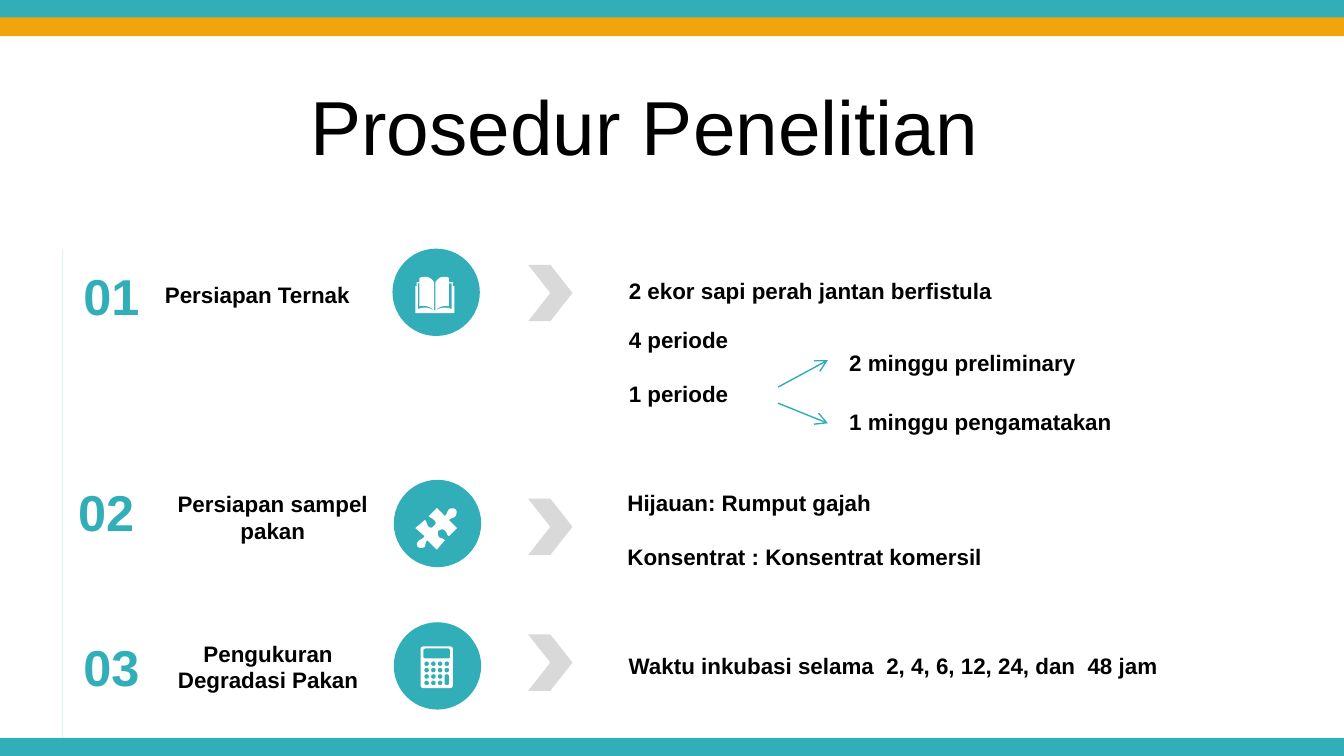
from lxml import etree
from pptx import Presentation
from pptx.dml.color import RGBColor
from pptx.enum.shapes import MSO_CONNECTOR as Connector, MSO_SHAPE as Shape
from pptx.enum.text import MSO_ANCHOR as Anchor, PP_ALIGN as Align
from pptx.oxml.ns import qn
from pptx.util import Inches, Pt

TEAL, ORANGE, GREY, WHITE, BLACK = "32AEB8", "F2A40D", "D9D9D9", "FFFFFF", "000000"
ARROW, HAIRLINE = "2EADB7", "E4F4F6"
TIGHT = (0.07, 0.04)
UNIT = 100

BOOK = """M 31 46 L 32 46 C 36 44 39 43 44 45 L 44 26 L 42 26 L 42 43 C 39 42 35 43 32 46
L 32 25 C 34 22 36 21 38 21 C 40 21 41 21 42 22 L 42 25 L 45 25 L 45 28 L 46 28 L 46 48
L 17 48 L 17 28 L 18 28 L 18 25 L 20 25 L 20 22 C 22 21 23 21 24 21 C 27 21 29 22 31 25
L 31 46 C 28 43 24 42 20 43 L 20 26 L 19 26 L 19 45 C 24 43 27 44 31 46"""
PUZZLE = """M 46 22 C 47 23 47 25 46 27 C 44 29 43 28 41 30 L 47 36 L 41 42
C 39 41 40 39 38 38 C 37 36 35 37 33 38 C 33 39 32 41 34 43 C 36 44 36 43 38 45
L 32 52 L 25 45 C 23 47 24 48 23 50 C 21 51 19 51 18 50 C 17 49 17 47 18 46
C 19 44 21 45 23 42 L 16 36 L 23 30 C 25 31 24 33 26 35 C 27 36 29 36 30 34
C 31 34 32 31 30 30 C 28 28 28 29 26 27 L 32 21 L 38 27 C 40 25 39 25 41 22
C 42 21 45 21 46 22"""


def color(value):
    """Turn a hex string into a colour."""
    return RGBColor.from_string(value)


def paint(shape, fill):
    """Give a shape a plain fill without line or shadow."""
    shape.shadow.inherit = False
    shape.fill.solid()
    shape.fill.fore_color.rgb = color(fill)
    shape.line.fill.background()


def add_block(page, kind, left, top, width, height, fill):
    """Place a filled preset shape."""
    block = page.shapes.add_shape(kind, Inches(left), Inches(top), Inches(width), Inches(height))
    paint(block, fill)


def add_text(page, text, left, top, width, height, size=12, bold=True, fill=BLACK,
             align=Align.LEFT, anchor=Anchor.TOP, inset=(0.1, 0.05), gap=0):
    """Place a text box with one paragraph per line of text."""
    box = page.shapes.add_textbox(Inches(left), Inches(top), Inches(width), Inches(height))
    frame = box.text_frame
    frame.word_wrap = True
    frame.vertical_anchor = anchor
    frame.margin_left = frame.margin_right = Inches(inset[0])
    frame.margin_top = frame.margin_bottom = Inches(inset[1])
    for index, line in enumerate(text.split("\n")):
        para = frame.paragraphs[0] if index == 0 else frame.add_paragraph()
        para.alignment = align
        if index:
            para.space_before = Pt(gap)
        span = para.add_run()
        span.text = line
        span.font.name, span.font.size, span.font.bold = "Arial", Pt(size), bold
        span.font.color.rgb = color(fill)


def add_arrow(page, start, end):
    """Draw a thin straight line with an open arrowhead."""
    line = page.shapes.add_connector(Connector.STRAIGHT, *map(Inches, start + end))
    line.line.color.rgb = color(ARROW)
    line.line.width = Pt(0.75)
    properties = line._element.spPr
    etree.SubElement(properties.find(qn("a:ln")), qn("a:tailEnd"), type="arrow")
    etree.SubElement(properties, qn("a:effectLst"))


def bezier(points, steps=6):
    """List the points along a cubic curve after its start."""
    result = []
    for step in range(1, steps + 1):
        t = step / steps
        weights = ((1 - t) ** 3, 3 * t * (1 - t) ** 2, 3 * t * t * (1 - t), t ** 3)
        result.append(tuple(sum(w * p[axis] for w, p in zip(weights, points)) for axis in (0, 1)))
    return result


def outline(drawing):
    """Turn move, line and curve commands into one contour."""
    words = iter(drawing.split())
    contour = []
    for command in words:
        points = [(int(next(words)), int(next(words))) for _ in range(3 if command == "C" else 1)]
        contour += bezier([contour[-1]] + points) if command == "C" else points
    return contour


def rounded(left, top, width, height, radius):
    """Give the contour of a rounded rectangle."""
    right, bottom, bend = left + width, top + height, radius * 0.45
    corners = [((left, top + radius), (left, top + bend), (left + bend, top), (left + radius, top)),
               ((right - radius, top), (right - bend, top), (right, top + bend), (right, top + radius)),
               ((right, bottom - radius), (right, bottom - bend),
                (right - bend, bottom), (right - radius, bottom)),
               ((left + radius, bottom), (left + bend, bottom),
                (left, bottom - bend), (left, bottom - radius))]
    return [point for corner in corners for point in [corner[0]] + bezier(corner, 4)]


def calculator():
    """List the contours of the body, display and keys."""
    contours = [rounded(20, 18, 24, 31, 2), rounded(22, 19.5, 20, 7.5, 1.5)]
    for row in range(4):
        for column in range(4):
            if (row, column) != (3, 3):
                tall = (row, column) == (2, 3)
                contours.append(rounded(22.8 + 5 * column, 29.2 + 4.75 * row,
                                        3.4, 8.2 if tall else 3.4, 1.5))
    return contours


def add_icon(page, left, top, contours):
    """Draw white contours, given in hundredths of an inch."""
    scaled = [[(x * UNIT, y * UNIT) for x, y in contour] for contour in contours]
    builder = page.shapes.build_freeform(*scaled[0][0], scale=Inches(0.01) / UNIT)
    for index, contour in enumerate(scaled):
        if index:
            builder.move_to(*contour[0])
        builder.add_line_segments(contour[1:], close=True)
    paint(builder.convert_to_shape(Inches(left), Inches(top)), WHITE)


def add_step(page, left, top, number, label, icon, number_at, label_box, chevron_top):
    """Place a step relative to the corner of its icon circle."""
    label_left, label_top, label_width, label_height = label_box
    add_block(page, Shape.OVAL, left, top, 0.65, 0.65, TEAL)
    add_icon(page, left, top, icon)
    add_text(page, number, left + number_at[0], top + number_at[1], 0.66, 0.53, size=27,
             fill=TEAL, align=Align.CENTER, inset=TIGHT)
    add_text(page, label, left + label_left, top + label_top, label_width, label_height,
             align=Align.CENTER, inset=TIGHT)
    add_block(page, Shape.CHEVRON, 3.93, top + chevron_top, 0.33, 0.42, GREY)


def add_frame(page):
    """Draw the bands, the side hairline and the title."""
    add_block(page, Shape.RECTANGLE, 0.46, 1.85, 0.01, 3.64, HAIRLINE)
    for top, fill in ((0, TEAL), (0.13, ORANGE), (5.49, TEAL)):
        add_block(page, Shape.RECTANGLE, 0, top, 10, 0.14, fill)
    add_text(page, "Prosedur Penelitian", 2.24, 0.63, 7.7, 0.6, size=41, bold=False,
             anchor=Anchor.MIDDLE, inset=TIGHT)


def add_periods(page, left, top):
    """Place the details of the first step with the split period."""
    add_text(page, "2 ekor sapi perah jantan berfistula", left, top, 5.28, 0.5)
    add_text(page, "4 periode", left, top + 0.37, 4.69, 0.45)
    add_text(page, "1 periode", left, top + 0.77, 4.69, 0.45)
    branches = (("2 minggu preliminary", 0.54, 0.87, 0.67),
                ("1 minggu pengamatakan", 0.98, 0.99, 1.14))
    for text, text_top, start, end in branches:
        add_text(page, text, left + 1.64, top + text_top, 3.7, 0.45)
        add_arrow(page, (left + 1.21, top + start), (left + 1.58, top + end))


def main():
    """Build and save the deck."""
    deck = Presentation()
    deck.slide_width = Inches(10)
    deck.slide_height = deck.slide_width * 9 // 16
    page = deck.slides.add_slide(deck.slide_layouts[6])
    add_frame(page)
    add_step(page, 2.92, 1.85, "01", "Persiapan Ternak", [outline(BOOK)],
             (-2.42, 0.08), (-2.05, 0.2, 2.09, 0.28), 0.12)
    add_step(page, 2.93, 3.57, "02", "Persiapan sampel pakan", [outline(PUZZLE)],
             (-2.47, -0.03), (-1.77, 0.04, 1.74, 0.48), 0.14)
    add_step(page, 2.93, 4.63, "03", "Pengukuran Degradasi Pakan", calculator(),
             (-2.43, 0.06), (-1.79, 0.09, 1.71, 0.48), 0.09)
    add_periods(page, 4.58, 2.01)
    add_text(page, "Hijauan: Rumput gajah\nKonsentrat : Konsentrat komersil",
             4.57, 3.59, 5.04, 0.71, gap=14.4)
    add_text(page, "Waktu inkubasi selama  2, 4, 6, 12, 24, dan  48 jam", 4.58, 4.8, 5.04, 0.3)
    deck.save("out.pptx")


if __name__ == "__main__":
    main()
